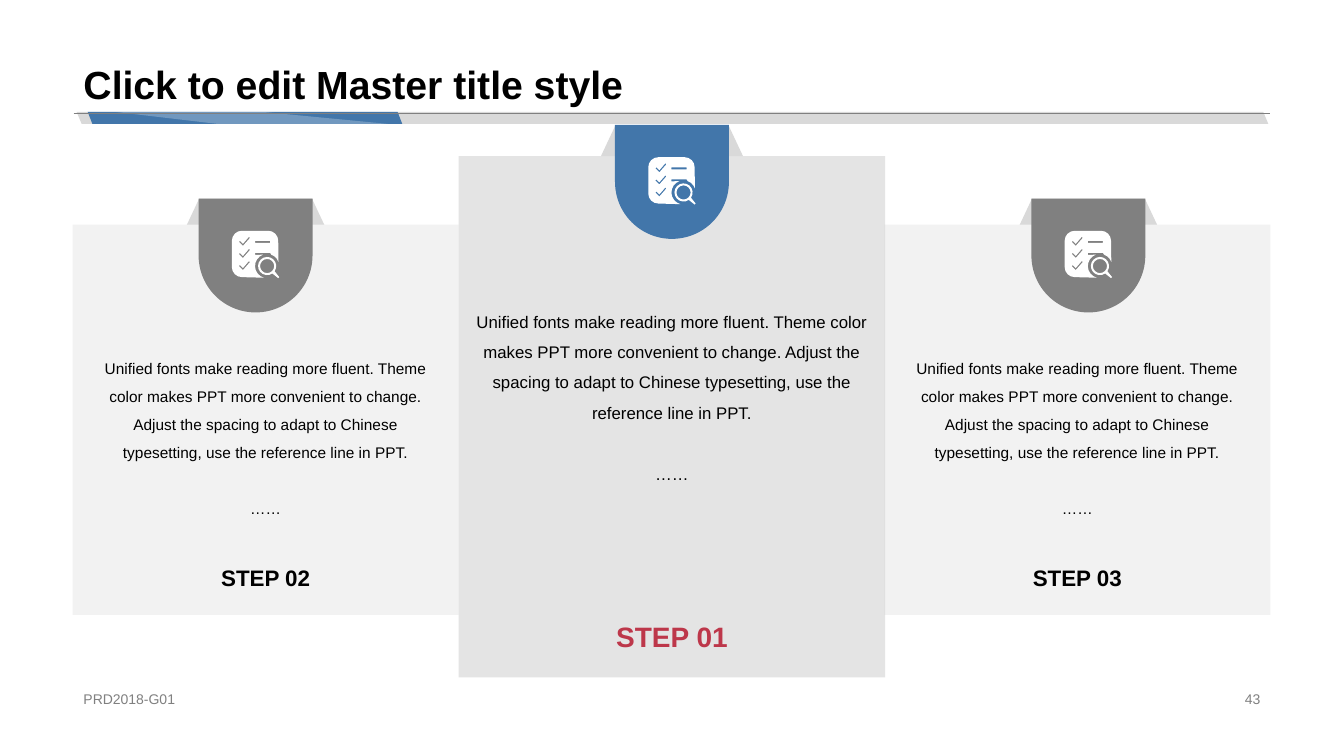
from dataclasses import dataclass
from math import cos, radians, sin

from lxml.etree import SubElement
from pptx import Presentation
from pptx.dml.color import RGBColor
from pptx.enum.shapes import MSO_CONNECTOR, MSO_SHAPE as SHAPE
from pptx.enum.text import MSO_ANCHOR as ANCHOR, PP_ALIGN as ALIGN
from pptx.oxml.ns import qn
from pptx.util import Inches, Pt


@dataclass(frozen=True)
class Theme:
    font: str = "Arial"
    text: str = "000000"
    white: str = "FFFFFF"
    blue: str = "4276AA"
    red: str = "BD374A"
    gray: str = "808080"
    band: str = "D9D9D9"
    pale: str = "F2F2F2"
    title_size: int = 28
    footer_size: int = 10


@dataclass(frozen=True)
class Step:
    label: str
    card: tuple
    fill: str
    alpha: int
    accent: str
    label_color: str
    label_size: int
    body_size: int
    tab_left: float
    tab_top: float
    body_top: float
    body_inset: float


THEME = Theme()
BODY = ("Unified fonts make reading more fluent. Theme color makes PPT more "
        "convenient to change. Adjust the spacing to adapt to Chinese "
        "typesetting, use the reference line in PPT.")
SIDE = dict(fill=THEME.pale, alpha=100, accent=THEME.gray, label_color=THEME.text,
            label_size=16, body_size=11, tab_top=1.97, body_top=3.2, body_inset=0.18)
STEPS = [
    Step("STEP 03", (8.77, 2.23, 3.83, 3.87), tab_left=10.23, **SIDE),
    Step("STEP 02", (0.72, 2.23, 3.83, 3.87), tab_left=1.97, **SIDE),
    Step("STEP 01", (4.55, 1.55, 4.23, 5.17), THEME.band, 70, THEME.blue,
         THEME.red, 20, 12, 6.1, 1.24, 2.79, 0),
]


def rgb(color):
    return RGBColor.from_string(color)


def paint(sp, fill, alpha=100):
    """Set fill and opacity in percent, without outline or shadow."""
    sp.shadow.inherit = False
    sp.line.fill.background()
    sp.fill.solid()
    sp.fill.fore_color.rgb = rgb(fill)
    if alpha < 100:
        color = sp.fill._xPr.find(".//" + qn("a:srgbClr"))
        SubElement(color, qn("a:alpha"), val=str(alpha * 1000))
    return sp


def add_shape(slide, kind, box, adj=(), flip=False, **style):
    sp = slide.shapes.add_shape(kind, *map(Inches, box))
    for i, value in enumerate(adj):
        sp.adjustments[i] = value
    if flip:
        sp._element.spPr.find(qn("a:xfrm")).set("flipH", "1")
    return paint(sp, **style)


def add_outline(slide, x, y, contours, **style):
    """Draw closed contours, given relative to (x, y), as one shape."""
    builder = slide.shapes.build_freeform(scale=1.0)
    for contour in contours:
        start, *rest = [(Inches(x + dx), Inches(y + dy)) for dx, dy in contour]
        builder.move_to(*start)
        builder.add_line_segments(rest, close=True)
    return paint(builder.convert_to_shape(), **style)


def arc(cx, cy, radius, first, last, steps):
    """Points on a circle between two angles in degrees, clockwise from the right."""
    angles = [radians(first + (last - first) * i / steps) for i in range(steps + 1)]
    return [(cx + radius * cos(a), cy + radius * sin(a)) for a in angles]


def write(tf, text, size, color=THEME.text, bold=False, align=ALIGN.LEFT,
          anchor=ANCHOR.MIDDLE, spacing=None, gap=0):
    """Fill a text frame, one paragraph per line of text, gap points apart."""
    tf.word_wrap = True
    tf.vertical_anchor = anchor
    for i, content in enumerate(text.split("\n")):
        p = tf.add_paragraph() if i else tf.paragraphs[0]
        p.alignment = align
        if spacing:
            p.line_spacing = spacing
        if i and gap:
            p.space_before = Pt(gap)
        r = p.add_run()
        r.text = content
        r.font.name = THEME.font
        r.font.size = Pt(size)
        r.font.bold = bold
        r.font.color.rgb = rgb(color)


def add_text(slide, box, text, size, **style):
    write(slide.shapes.add_textbox(*map(Inches, box)).text_frame, text, size, **style)


def draw_header(slide, x, y, w):
    """Title above a slanted band whose top edge is at y."""
    h = 0.12
    add_shape(slide, SHAPE.PARALLELOGRAM, (x + 0.03, y, w - 0.05, h), [0.42], flip=True,
              fill=THEME.band)
    add_shape(slide, SHAPE.PARALLELOGRAM, (x + 0.14, y, 3.12, h), [0.39], flip=True,
              fill=THEME.blue)
    add_outline(slide, x, y, [[(3.12, h), (1.87, 0), (0.41, 0), (1.43, h)]],
                fill=THEME.white, alpha=25)
    rule = slide.shapes.add_connector(MSO_CONNECTOR.STRAIGHT, Inches(x), Inches(y + 0.01),
                                      Inches(x + w), Inches(y + 0.01))
    rule.line.color.rgb = rgb(THEME.gray)
    rule.line.width = Pt(0.25)
    SubElement(rule._element.spPr, qn("a:effectLst"))
    add_text(slide, (x, 0, w, y + 0.01), "Click to edit Master title style",
             THEME.title_size, bold=True, anchor=ANCHOR.BOTTOM, spacing=0.9)


def draw_footer(slide, x, y, w):
    style = dict(size=THEME.footer_size, color=THEME.gray)
    add_text(slide, (x, y, 4.53, 0.23), "PRD2018-G01", **style)
    add_text(slide, (x + w - 3.18, y, 3.18, 0.23), "43", align=ALIGN.RIGHT, **style)


def draw_checklist(slide, x, y):
    """Checklist with a magnifier, 0.46 inches wide."""
    size, corner, lens = 0.46, 0.1, (0.35, 0.35)
    far = size - corner
    sheet = (arc(corner, corner, corner, 180, 270, 4) + arc(far, corner, corner, 270, 360, 4)
             + arc(*lens, 0.12, -20, -70, 3)
             + [(0.38, 0.22), (0.23, 0.22), (0.23, 0.24)]
             + arc(*lens, 0.12, -110, -255, 8) + arc(corner, far, corner, 90, 180, 4))
    tick = [(0.17, 0.06), (0.11, 0.13), (0.08, 0.1), (0.07, 0.11), (0.11, 0.15), (0.18, 0.07)]
    ticks = [[(dx, dy + row * 0.12) for dx, dy in tick] for row in range(3)]
    entry = [(0.23, 0.1), (0.38, 0.1), (0.38, 0.12), (0.23, 0.12)]
    magnifier = arc(*lens, 0.09, 55, 395, 16) + [(0.47, 0.46), (0.46, 0.47)]
    glass = arc(*lens, 0.07, 0, 337.5, 15)
    add_outline(slide, x, y, [sheet, *ticks, entry, magnifier, glass], fill=THEME.white)


def draw_step(slide, step):
    x, y, w, h = step.card
    tab_x, tab_y, tab = step.tab_left, step.tab_top, 1.13
    add_shape(slide, SHAPE.TRAPEZOID, (tab_x - 0.14, tab_y, 1.41, 0.31), [0.47],
              fill=THEME.band)
    card = add_shape(slide, SHAPE.RECTANGLE, step.card, fill=step.fill, alpha=step.alpha)
    card.text_frame.margin_bottom = Inches(0.24)
    write(card.text_frame, step.label, step.label_size, color=step.label_color,
          bold=True, align=ALIGN.CENTER, anchor=ANCHOR.BOTTOM)
    add_shape(slide, SHAPE.ROUND_2_SAME_RECTANGLE, (tab_x, tab_y, tab, tab), [0, 0.5],
              fill=step.accent)
    draw_checklist(slide, tab_x + 0.33, tab_y + 0.32)
    inset = step.body_inset
    add_text(slide, (x + inset, step.body_top, w - 2 * inset, 2.21), BODY + "\n……",
             step.body_size, align=ALIGN.CENTER, spacing=1.5, gap=1.85 * step.body_size)


def main():
    prs = Presentation()
    prs.slide_width, prs.slide_height = Inches(13.33), Inches(7.5)
    slide = prs.slides.add_slide(prs.slide_layouts[6])
    draw_header(slide, 0.73, 1.11, 11.87)
    draw_footer(slide, 0.73, 6.82, 11.87)
    for step in STEPS:
        draw_step(slide, step)
    prs.save("out.pptx")


if __name__ == "__main__":
    main()
